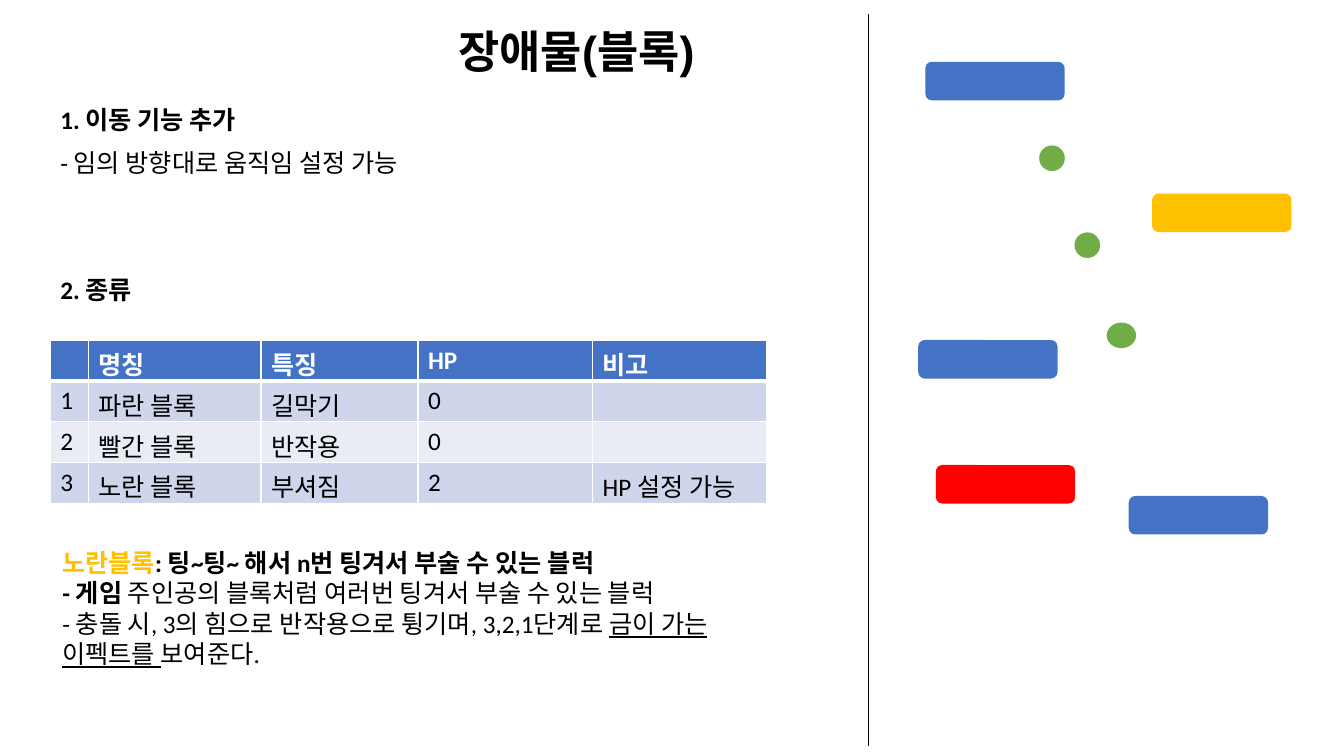
from dataclasses import dataclass

import lxml.etree
import pptx
import pptx.dml.color
import pptx.enum.shapes
import pptx.enum.text
import pptx.oxml.ns
import pptx.util

Pt = pptx.util.Pt
SHAPES = pptx.enum.shapes.MSO_SHAPE
ANCHOR = pptx.enum.text.MSO_ANCHOR
qn = pptx.oxml.ns.qn

BLACK, WHITE = "000000", "FFFFFF"
BLUE, YELLOW, RED, GREEN = "4472C4", "FFC000", "FF0000", "70AD47"
BANDS = ("CFD5EA", "E9EBF5")
BLOCK_SIZE = (99.5, 27.5)


@dataclass
class Figure:
    left: float
    top: float
    color: str = BLUE
    kind: int = SHAPES.ROUNDED_RECTANGLE
    size: tuple = BLOCK_SIZE


@dataclass
class Label:
    text: str
    left: float
    top: float
    width: float
    height: float
    bold: bool = False


@dataclass
class Piece:
    text: str
    color: str = BLACK
    bold: bool = False
    underline: bool = False


FIGURES = [
    Figure(790.5, 230.4, GREEN, SHAPES.OVAL, (21, 18.3)),
    Figure(742.3, 103.9, GREEN, SHAPES.OVAL, (18.3, 18.3)),
    Figure(767.5, 166, GREEN, SHAPES.OVAL, (18.3, 18.3)),
    Figure(661, 44.2),
    Figure(823, 138.3, YELLOW),
    Figure(655.9, 242.9),
    Figure(806.3, 354.3),
    Figure(668.5, 332.2, RED),
]

LABELS = [
    Label("1. 이동 기능 추가", 36, 71.3, 554.4, 51, True),
    Label("- 임의 방향대로 움직임 설정 가능", 36, 101.5, 480, 29),
    Label("2. 종류", 36, 192.2, 554.4, 51, True),
]

DESCRIPTION = [
    [
        Piece("노란블록", YELLOW, True),
        Piece(": 팅~팅~ 해서 n번 팅겨서 부술 수 있는 블럭", bold=True),
    ],
    [
        Piece("- 게임 ", bold=True),
        Piece("주인공의 블록처럼 여러번 팅겨서 부술 수 있는 블럭"),
    ],
    [
        Piece("- 충돌 시, 3의 힘으로 반작용으로 튕기며, 3,2,1단계로 "),
        Piece("금이 가는 이펙트를 ", underline=True),
        Piece("보여준다."),
    ],
]

COLUMN_WIDTHS = [27.2, 123.3, 112.1, 124.8, 124.6]
ROW_HEIGHT = 29.2
ROWS = [
    ["", "명칭", "특징", "HP", "비고"],
    ["1", "파란 블록", "길막기", "0", ""],
    ["2", "빨간 블록", "반작용", "0", ""],
    ["3", "노란 블록", "부셔짐", "2", "HP 설정 가능"],
]


def set_color(color_format, color: str) -> None:
    color_format.rgb = pptx.dml.color.RGBColor.from_string(color)


def set_fill(fill, color: str) -> None:
    fill.solid()
    set_color(fill.fore_color, color)


def format_run(run, color: str, bold: bool, size: float = 18, name: str = "Calibri") -> None:
    run.font.name = name
    run.font.size = Pt(size)
    run.font.bold = bold
    set_color(run.font.color, color)


def place(shape, left: float, top: float, width: float, height: float) -> None:
    shape.left, shape.top = Pt(left), Pt(top)
    shape.width, shape.height = Pt(width), Pt(height)


def add_title(slide) -> None:
    title = slide.shapes.title
    place(title, -2.2, -10, 828, 96.5)
    frame = title.text_frame
    frame.text = "장애물(블록)"
    frame.vertical_anchor = ANCHOR.MIDDLE
    paragraph = frame.paragraphs[0]
    paragraph.alignment = pptx.enum.text.PP_ALIGN.CENTER
    paragraph.line_spacing = 0.9
    format_run(paragraph.runs[0], BLACK, True, 32, "Arial")


def add_description(slide) -> None:
    body = slide.placeholders[1]
    place(body, 37.4, 387.4, 480, 94.5)
    frame = body.text_frame
    frame.auto_size = pptx.enum.text.MSO_AUTO_SIZE.NONE
    frame.vertical_anchor = ANCHOR.TOP
    for index, pieces in enumerate(DESCRIPTION):
        paragraph = frame.add_paragraph() if index else frame.paragraphs[0]
        properties = paragraph._p.get_or_add_pPr()
        properties.set("marL", "0")
        properties.set("indent", "0")
        lxml.etree.SubElement(properties, qn("a:buNone"))
        paragraph.space_before = Pt(0)
        for piece in pieces:
            run = paragraph.add_run()
            run.text = piece.text
            format_run(run, piece.color, piece.bold)
            run.font.underline = piece.underline


def add_label(slide, label: Label) -> None:
    shape = slide.shapes.add_textbox(
        Pt(label.left), Pt(label.top), Pt(label.width), Pt(label.height)
    )
    shape.text_frame.word_wrap = True
    shape.text_frame.text = label.text
    format_run(shape.text_frame.paragraphs[0].runs[0], BLACK, label.bold)


def add_figure(slide, figure: Figure) -> None:
    width, height = figure.size
    shape = slide.shapes.add_shape(
        figure.kind, Pt(figure.left), Pt(figure.top), Pt(width), Pt(height)
    )
    shape.shadow.inherit = False
    set_fill(shape.fill, figure.color)
    shape.line.fill.background()


def add_divider(slide) -> None:
    line = slide.shapes.add_connector(
        pptx.enum.shapes.MSO_CONNECTOR.STRAIGHT, Pt(620), Pt(10), Pt(620), Pt(533)
    )
    line.line.width = Pt(0.5)
    set_color(line.line.color, BLACK)
    lxml.etree.SubElement(line._element.spPr, qn("a:effectLst"))


def add_border(cell, side: str, width: float) -> None:
    properties = cell._tc.get_or_add_tcPr()
    border = lxml.etree.SubElement(properties, qn(f"a:ln{side}"), w=str(Pt(width)))
    fill = lxml.etree.SubElement(border, qn("a:solidFill"))
    lxml.etree.SubElement(fill, qn("a:srgbClr"), val=WHITE)


def add_block_table(slide) -> None:
    table = slide.shapes.add_table(
        len(ROWS), len(COLUMN_WIDTHS), Pt(36), Pt(242.9),
        Pt(sum(COLUMN_WIDTHS)), Pt(ROW_HEIGHT * len(ROWS)),
    ).table
    for column, width in zip(table.columns, COLUMN_WIDTHS):
        column.width = Pt(width)
    for row_index, texts in enumerate(ROWS):
        table.rows[row_index].height = Pt(ROW_HEIGHT)
        header = row_index == 0
        for column_index, text in enumerate(texts):
            cell = table.cell(row_index, column_index)
            for side in "LRTB":
                thick = (row_index, side) in ((0, "B"), (1, "T"))
                add_border(cell, side, 3 if thick else 1)
            set_fill(cell.fill, BLUE if header else BANDS[(row_index - 1) % 2])
            cell.text_frame.text = text
            for run in cell.text_frame.paragraphs[0].runs:
                format_run(run, WHITE if header else BLACK, header)


def main() -> None:
    presentation = pptx.Presentation()
    presentation.slide_width, presentation.slide_height = Pt(960), Pt(540)
    slide = presentation.slides.add_slide(presentation.slide_layouts[1])
    add_title(slide)
    add_divider(slide)
    for figure in FIGURES:
        add_figure(slide, figure)
    for label in LABELS:
        add_label(slide, label)
    add_block_table(slide)
    add_description(slide)
    presentation.save("out.pptx")


if __name__ == "__main__":
    main()
